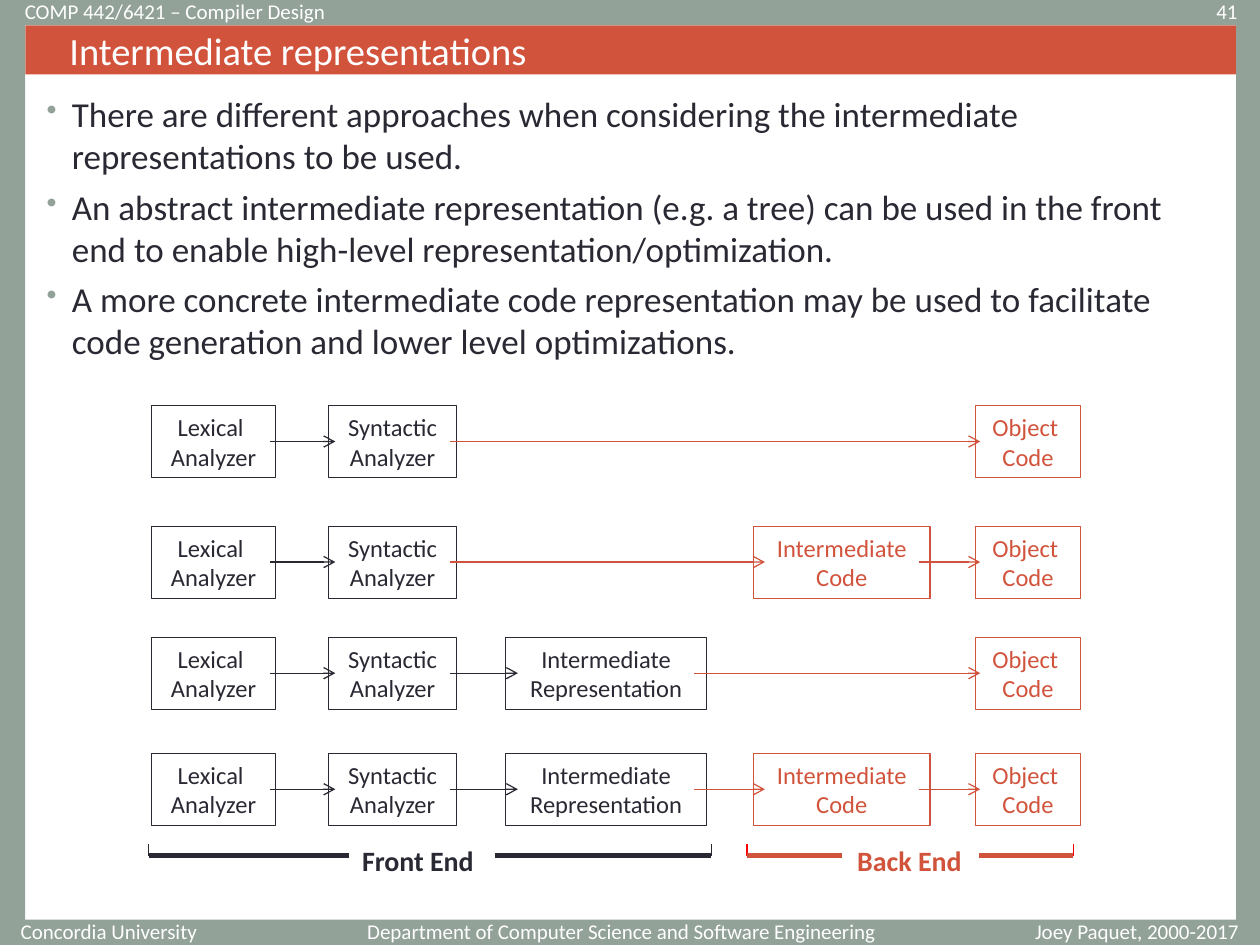
"""Build the slide on intermediate representations in a compiler."""
import pptx
import pptx.util
import pptx.dml.color
import pptx.enum.shapes
import pptx.enum.text
import pptx.oxml.ns
import lxml.etree

Cm, Pt = pptx.util.Cm, pptx.util.Pt
Align, Anchor = pptx.enum.text.PP_ALIGN, pptx.enum.text.MSO_ANCHOR
RECTANGLE = pptx.enum.shapes.MSO_SHAPE.RECTANGLE
STRAIGHT = pptx.enum.shapes.MSO_CONNECTOR.STRAIGHT
qn = pptx.oxml.ns.qn
COLORS = {
    name: pptx.dml.color.RGBColor.from_string(code)
    for name, code in {
        "frame": "93A299", "front": "292934", "back": "D2533C",
        "tick": "FF0000", "white": "FFFFFF",
    }.items()
}


def write(box, text, size, color, align=Align.LEFT, anchor=Anchor.TOP, wrap=True, bold=False):
    frame = box.text_frame
    frame.text = text
    frame.word_wrap = wrap
    frame.auto_size = pptx.enum.text.MSO_AUTO_SIZE.NONE
    frame.vertical_anchor = anchor
    frame.margin_left = frame.margin_right = Cm(0.25)
    frame.margin_top = frame.margin_bottom = Cm(0.13)
    for para in frame.paragraphs:
        para.alignment = align
        for span in para.runs:
            span.font.name = "Calibri"
            span.font.size = Pt(size)
            span.font.bold = bold
            span.font.color.rgb = COLORS[color]


def draw_line(x1, y1, x2, y2, color, width=0.75, arrow=False):
    line = page.shapes.add_connector(STRAIGHT, Cm(x1), Cm(y1), Cm(x2), Cm(y2))
    line.line.color.rgb = COLORS[color]
    line.line.width = Pt(width)
    if arrow:
        lxml.etree.SubElement(line.line._get_or_add_ln(), qn("a:tailEnd"), type="arrow")
    lxml.etree.SubElement(line._element.spPr, qn("a:effectLst"))


deck = pptx.Presentation()
deck.slide_width, deck.slide_height = Cm(25.4), Cm(19.05)
page = deck.slides.add_slide(deck.slide_layouts[5])

for bounds in [(0, 0, 25.4, 0.51), (0, 18.54, 25.4, 0.51), (0, 0, 0.51, 18.9), (24.92, 0.46, 0.48, 18.59)]:
    bar = page.shapes.add_shape(RECTANGLE, *map(Cm, bounds))
    bar.shadow.inherit = False
    bar.fill.solid()
    bar.fill.fore_color.rgb = COLORS["frame"]
    bar.line.fill.background()

title = page.shapes.title
title.left, title.top, title.width, title.height = Cm(0.51), Cm(0.51), Cm(24.43), Cm(0.99)
title.fill.solid()
title.fill.fore_color.rgb = COLORS["back"]
write(title, "Intermediate representations", 22, "white", anchor=Anchor.MIDDLE)
title.text_frame.paragraphs[0]._p.get_or_add_pPr().set("marL", str(Cm(0.64)))

margin_texts = [
    ("Concordia University ", 0.08, 18.62, 4.24, Align.RIGHT),
    ("Department of Computer Science and Software Engineering", 7.11, 18.62, 10.8, Align.RIGHT),
    ("Joey Paquet, 2000-2017", 20.29, 18.62, 5.26, Align.CENTER),
    ("41", 22.23, 0.08, 2.97, Align.RIGHT),
    ("COMP 442/6421 – Compiler Design", 0.25, 0.08, 14.22, Align.LEFT),
]
for text, left, top, width, align in margin_texts:
    box = page.shapes.add_textbox(Cm(left), Cm(top), Cm(width), Cm(0.3))
    write(box, text, 12, "white", align, Anchor.MIDDLE)

points = [
    "There are different approaches when considering the intermediate representations to be used.",
    "An abstract intermediate representation (e.g. a tree) can be used in the front end "
    "to enable high-level representation/optimization.",
    "A more concrete intermediate code representation may be used to facilitate "
    "code generation and lower level optimizations.",
]
body = page.shapes.add_textbox(Cm(0.69), Cm(1.73), Cm(24), Cm(16.61))
write(body, "\n".join(points), 20, "front")
for number, para in enumerate(body.text_frame.paragraphs):
    para.space_before = Pt(5 if number else 0)
    properties = para._p.get_or_add_pPr()
    properties.set("marL", str(Cm(0.51)))
    properties.set("indent", str(Cm(-0.51)))
    bullet_color = lxml.etree.SubElement(properties, qn("a:buClr"))
    lxml.etree.SubElement(bullet_color, qn("a:srgbClr"), val=str(COLORS["frame"]))
    lxml.etree.SubElement(properties, qn("a:buSzPct"), val="85000")
    lxml.etree.SubElement(properties, qn("a:buChar"), char="•")

stages = {
    "lexical": ("Lexical \nAnalyzer", 3.06, 2.49, "front"),
    "syntactic": ("Syntactic\nAnalyzer", 6.63, 2.57, "front"),
    "tree": ("Intermediate\nRepresentation", 10.19, 4.06, "front"),
    "code": ("Intermediate\nCode", 15.19, 3.56, "back"),
    "object": ("Object \nCode", 19.66, 2.13, "back"),
}
arrow_starts = {"lexical": 5.44, "syntactic": 9.07, "tree": 14, "code": 18.52}
arrow_ends = {"syntactic": 6.76, "tree": 10.44, "code": 15.42, "object": 19.76}
pipelines = [
    (8.18, ["lexical", "syntactic", "object"]),
    (10.61, ["lexical", "syntactic", "code", "object"]),
    (12.85, ["lexical", "syntactic", "tree", "object"]),
    (15.19, ["lexical", "syntactic", "tree", "code", "object"]),
]
for top, names in pipelines:
    for name in names:
        text, left, width, color = stages[name]
        box = page.shapes.add_shape(RECTANGLE, Cm(left), Cm(top), Cm(width), Cm(1.45))
        box.shadow.inherit = False
        box.fill.background()
        box.line.color.rgb = COLORS[color]
        box.line.width = Pt(0.75)
        write(box, text, 14, color, Align.CENTER, wrap=False)
    for source, target in zip(names, names[1:]):
        middle = top + 0.72
        draw_line(arrow_starts[source], middle, arrow_ends[target], middle, stages[target][3], arrow=True)

brackets = [
    ("Front End", 6.81, 3.23, "front", "front", 3, 7.04, 9.98, 14.34),
    ("Back End", 16.81, 3.05, "back", "tick", 15.06, 16.97, 19.74, 21.64),
]
for text, left, width, color, tick_color, start, gap_start, gap_end, end in brackets:
    label = page.shapes.add_textbox(Cm(left), Cm(16.87), Cm(width), Cm(0.94))
    write(label, text, 16, color, Align.CENTER, wrap=False, bold=True)
    for x in (start, end):
        draw_line(x, 17.02, x, 17.25, tick_color)
    for x1, x2 in ((start, gap_start), (gap_end, end)):
        draw_line(x1, 17.25, x2, 17.25, color, 3)

deck.save("out.pptx")
